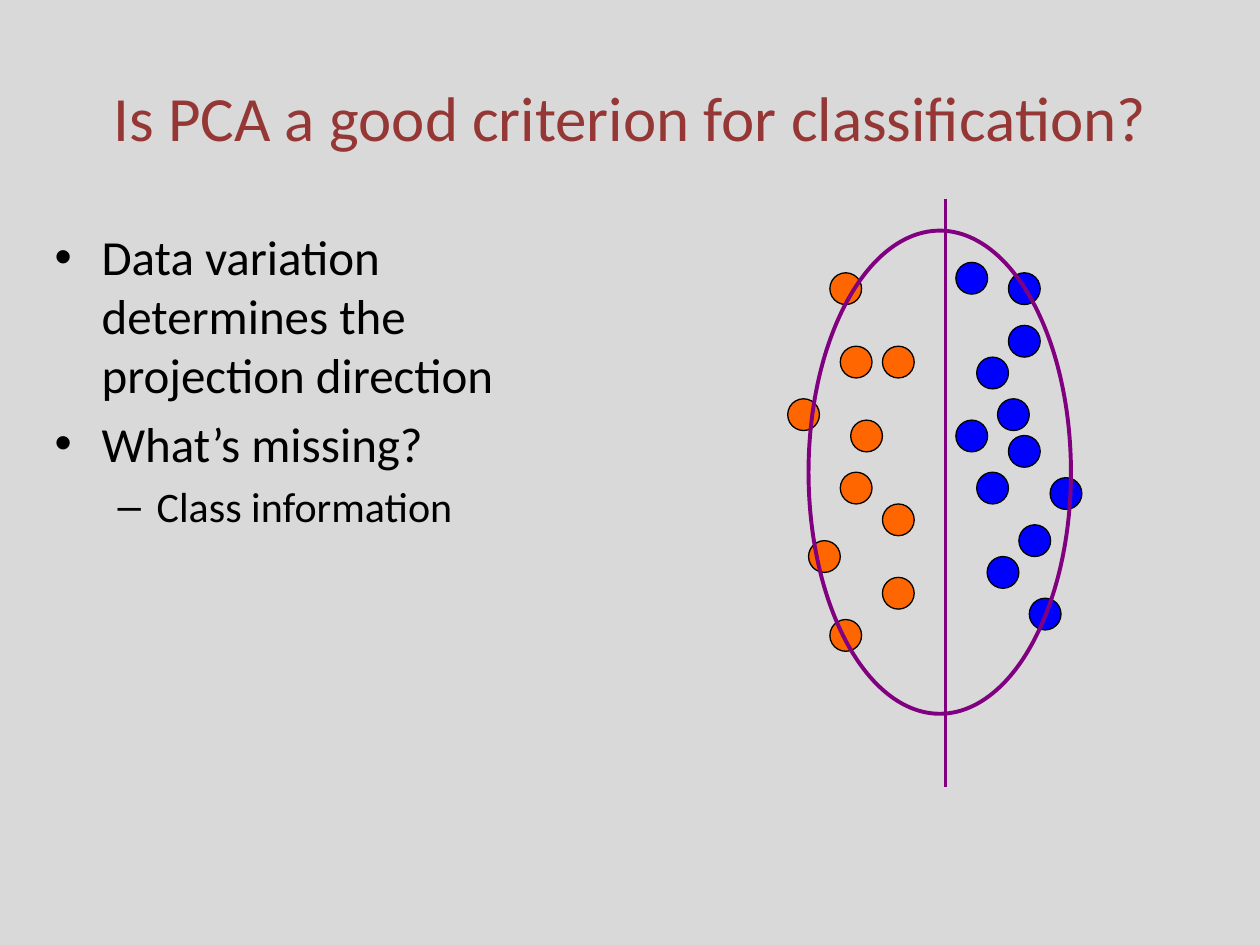
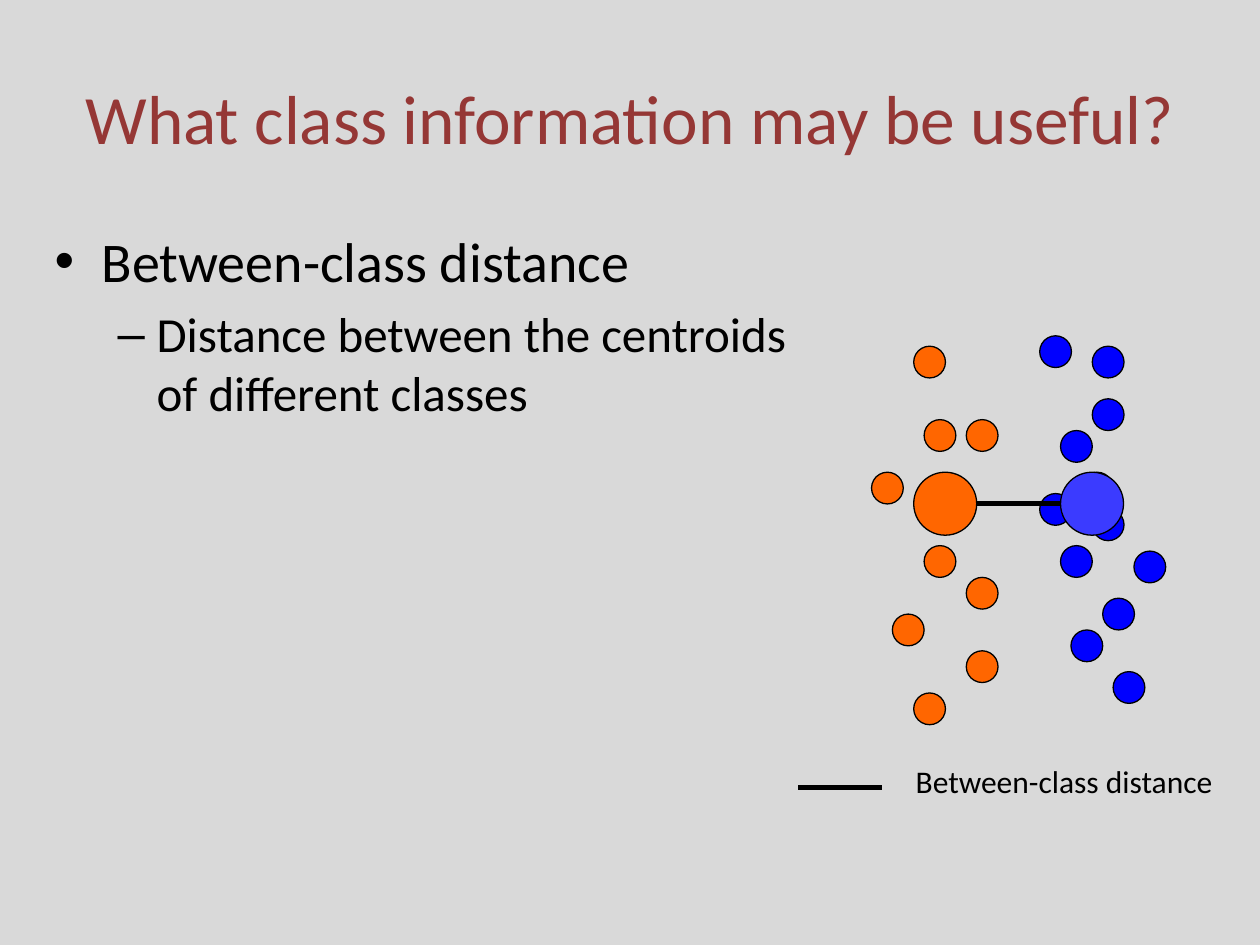
import lxml.etree
import pptx
import pptx.dml.color
import pptx.enum.shapes
import pptx.enum.text
import pptx.oxml.ns
import pptx.util
from pptx.util import Cm

FONT = "Calibri"
BACKGROUND = "D9D9D9"
TITLE_COLOUR = "953735"
BLACK = "000000"
ORANGE = "FF6600"
BLUE = "0000FF"
LIGHT_BLUE = "3B3BFF"
PURPLE = "800080"

DOT_SIZE = 0.64
CENTROID_SIZE = 1.27
ORANGE_DOTS = [
    (1.91, 4.87), (1.91, 1.69), (0.42, 5.61), (1.27, 3.18), (0, 2.75),
    (1.91, 6.35), (1.06, 1.69), (0.85, 7.2), (1.06, 4.23), (0.85, 0.21),
]
BLUE_DOTS = [
    (3.81, 1.91), (4.45, 3.49), (3.81, 4.23), (4.45, 1.27), (4.66, 5.29), (5.29, 4.34),
    (4.45, 0.21), (4.23, 2.75), (3.39, 3.18), (3.39, 0), (4.87, 6.77), (4.02, 5.93),
]
BULLETS = [("•", 0.95, -0.95), ("–", 2.06, -0.79)]


def colour(value):
    """Turn a hex string into a colour."""
    return pptx.dml.color.RGBColor.from_string(value)


def add_child(parent, tag, **attributes):
    """Append a drawing element to an XML parent."""
    return lxml.etree.SubElement(parent, pptx.oxml.ns.qn(tag), attributes)


def write(frame, text, size, color=BLACK, align=None, level=None):
    """Write one paragraph, bulleted when a level is given."""
    para = frame.paragraphs[0]
    if para.runs:
        para = frame.add_paragraph()
    para.alignment = align
    span = para.add_run()
    span.text = text
    span.font.name = FONT
    span.font.size = pptx.util.Pt(size)
    span.font.color.rgb = colour(color)
    if level is not None:
        mark, margin, indent = BULLETS[level]
        para.level = level
        para.space_before = pptx.util.Pt(0.2 * size)
        properties = para._p.get_or_add_pPr()
        properties.set("marL", str(Cm(margin)))
        properties.set("indent", str(Cm(indent)))
        add_child(properties, "a:buFont", typeface="Arial")
        add_child(properties, "a:buChar", char=mark)


def add_frame(page, left, top, width, height, wrap=True):
    """Add a text box and return its text frame."""
    box = page.shapes.add_textbox(Cm(left), Cm(top), Cm(width), Cm(height))
    box.text_frame.word_wrap = wrap
    return box.text_frame


def add_oval(shapes, left, top, width, height, fill=None, line=BLACK, weight=0.75):
    """Add an ellipse, hollow when no fill is given."""
    oval = shapes.add_shape(
        pptx.enum.shapes.MSO_SHAPE.OVAL, Cm(left), Cm(top), Cm(width), Cm(height))
    oval.shadow.inherit = False
    if fill:
        oval.fill.solid()
        oval.fill.fore_color.rgb = colour(fill)
    else:
        oval.fill.background()
    oval.line.color.rgb = colour(line)
    oval.line.width = pptx.util.Pt(weight)


def add_line(page, x1, y1, x2, y2, color=BLACK, weight=3):
    """Add a straight line without a shadow."""
    line = page.shapes.add_connector(
        pptx.enum.shapes.MSO_CONNECTOR.STRAIGHT, Cm(x1), Cm(y1), Cm(x2), Cm(y2))
    line.line.color.rgb = colour(color)
    line.line.width = pptx.util.Pt(weight)
    add_child(line._element.spPr, "a:effectLst")


def add_page(deck, title, size):
    """Add a blank page with the shared background and title."""
    page = deck.slides.add_slide(deck.slide_layouts[6])
    page.background.fill.solid()
    page.background.fill.fore_color.rgb = colour(BACKGROUND)
    frame = add_frame(page, 1.27, 0.76, 22.86, 3.18)
    frame.vertical_anchor = pptx.enum.text.MSO_ANCHOR.MIDDLE
    write(frame, title, size, color=TITLE_COLOUR, align=pptx.enum.text.PP_ALIGN.CENTER)
    return page


def add_body(page, width, height, items):
    """Add the bulleted text on the left."""
    frame = add_frame(page, 0.85, 4.45, width, height)
    for level, size, text in items:
        write(frame, text, size, level=level)


def add_scatter(page, left, top):
    """Add the dots of both classes."""
    for dots, fill in ((ORANGE_DOTS, ORANGE), (BLUE_DOTS, BLUE)):
        group = page.shapes.add_group_shape()
        for x, y in dots:
            add_oval(group.shapes, left + x, top + y, DOT_SIZE, DOT_SIZE, fill)


def add_projection(page, left, top):
    """Outline the scatter and draw its main direction."""
    add_oval(page.shapes, left + 0.42, top - 0.64, 5.29, 9.74, line=PURPLE, weight=2.25)
    add_line(page, left + 3.18, top - 1.27, left + 3.18, top + 10.58, PURPLE, 2.25)


def add_centroids(page, left, top):
    """Mark both class centroids and the distance between them."""
    orange_left, blue_left = left + 0.85, left + 3.81
    centroid_top = top + 2.75
    for x, fill in ((orange_left, ORANGE), (blue_left, LIGHT_BLUE)):
        add_oval(page.shapes, x, centroid_top, CENTROID_SIZE, CENTROID_SIZE, fill)
    middle = centroid_top + CENTROID_SIZE / 2
    add_line(page, orange_left + CENTROID_SIZE, middle, blue_left, middle)


def add_legend(page, left, top, text):
    """Add a line sample with its label."""
    add_line(page, left, top + 0.64, left + 1.69, top + 0.64)
    write(add_frame(page, left + 2.12, top, 7.2, 1.02, wrap=False), text, 18)


def build_criterion(deck):
    """Build the page on PCA as a criterion."""
    page = add_page(deck, "Is PCA a good criterion for classification?", 36)
    add_body(page, 11.22, 12.57, [
        (0, 28, "Data variation determines the projection direction"),
        (0, 28, "What’s missing?"),
        (1, 24, "Class information"),
    ])
    add_scatter(page, 15.88, 5.29)
    add_projection(page, 15.88, 5.29)


def build_class_information(deck):
    """Build the page on the between-class distance."""
    page = add_page(deck, "What class information may be useful?", 39.6)
    add_scatter(page, 17.57, 6.77)
    add_centroids(page, 17.57, 6.77)
    add_legend(page, 16.09, 15.24, "Between-class distance")
    add_body(page, 15.88, 4.65, [
        (0, 32, "Between-class distance"),
        (1, 28, "Distance between the centroids of different classes"),
    ])


def main():
    """Build and save the deck."""
    deck = pptx.Presentation()
    deck.slide_width, deck.slide_height = Cm(25.4), Cm(19.05)
    build_criterion(deck)
    build_class_information(deck)
    deck.save("out.pptx")


if __name__ == "__main__":
    main()
